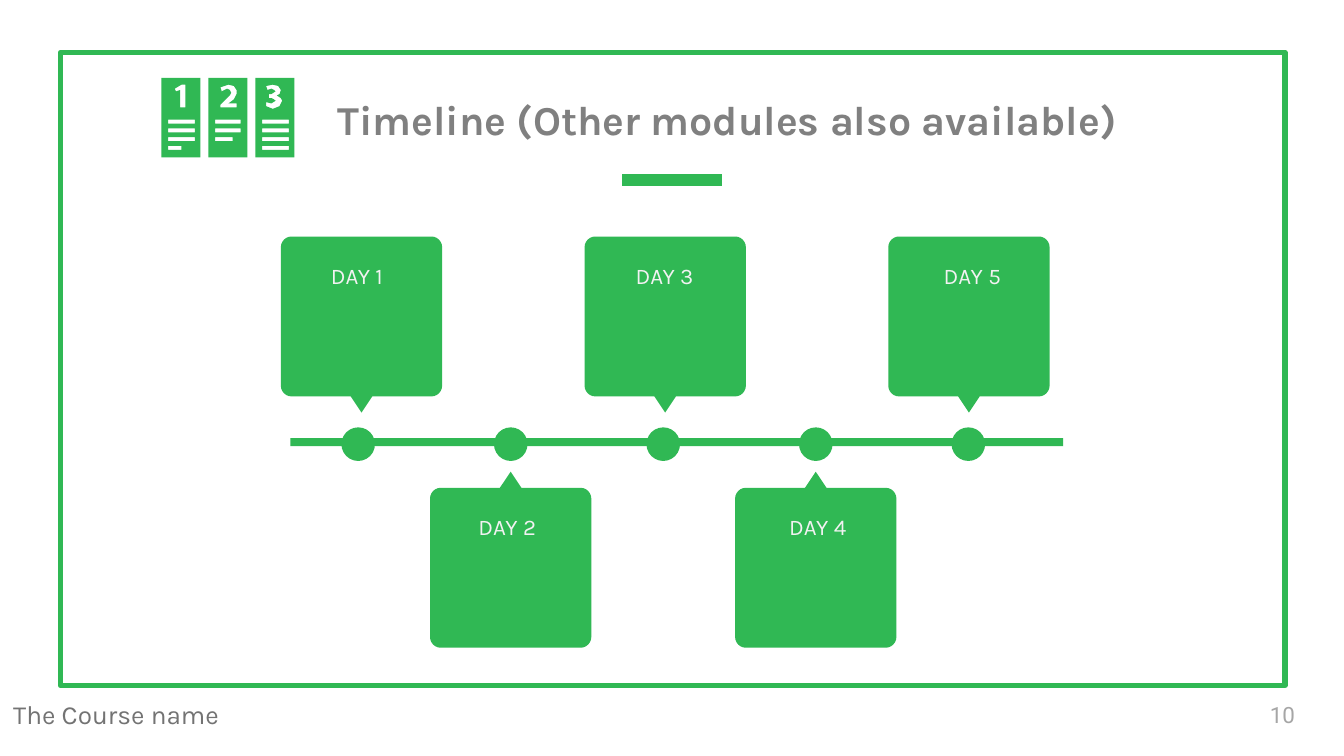
import math
from dataclasses import dataclass

from lxml import etree
from pptx import Presentation
from pptx.dml.color import RGBColor
from pptx.enum.shapes import MSO_CONNECTOR, MSO_SHAPE
from pptx.enum.text import MSO_ANCHOR, PP_ALIGN
from pptx.oxml.ns import qn
from pptx.util import Inches, Pt

RECTANGLE, OVAL = MSO_SHAPE.RECTANGLE, MSO_SHAPE.OVAL
STRAIGHT = MSO_CONNECTOR.STRAIGHT
TOP, MIDDLE, BOTTOM = MSO_ANCHOR.TOP, MSO_ANCHOR.MIDDLE, MSO_ANCHOR.BOTTOM
LEFT, CENTER = PP_ALIGN.LEFT, PP_ALIGN.CENTER

GREEN = "30B854"
Point = tuple[float, float]


@dataclass
class Day:
    label: str
    left: float
    above: bool
    text_left: float


@dataclass
class Card:
    left: float
    line_widths: list[float]
    digit: list[Point]


DAYS = [
    Day("DAY 1", 2.09, True, 2.19),
    Day("DAY 2", 3.2, False, 3.31),
    Day("DAY 3", 4.35, True, 4.48),
    Day("DAY 4", 5.47, False, 5.62),
    Day("DAY 5", 6.61, True, 6.77),
]

CARDS = [
    Card(1.2, [0.2, 0.2, 0.2, 0.1], [
        (1.35, 0.63), (1.38, 0.63), (1.38, 0.8), (1.34, 0.8),
        (1.34, 0.67), (1.31, 0.68), (1.3, 0.66)]),
    Card(1.55, [0.19, 0.19, 0.13], [
        (1.64, 0.78), (1.66, 0.76), (1.71, 0.71), (1.72, 0.69), (1.71, 0.67),
        (1.69, 0.66), (1.67, 0.67), (1.65, 0.68), (1.64, 0.65), (1.67, 0.64),
        (1.7, 0.63), (1.74, 0.64), (1.76, 0.67), (1.76, 0.7), (1.74, 0.74),
        (1.7, 0.77), (1.76, 0.77), (1.76, 0.8), (1.64, 0.8)]),
    Card(1.9, [0.2, 0.2, 0.2, 0.2], [
        (2.02, 0.73), (2, 0.73), (2, 0.7), (2.02, 0.7), (2.05, 0.68),
        (2.04, 0.67), (2.02, 0.66), (1.99, 0.67), (1.98, 0.64), (2.03, 0.63),
        (2.07, 0.64), (2.09, 0.67), (2.08, 0.7), (2.06, 0.71), (2.09, 0.73),
        (2.1, 0.75), (2.08, 0.79), (2.03, 0.81), (1.98, 0.79), (1.98, 0.76),
        (2.02, 0.77), (2.05, 0.75), (2.04, 0.74)]),
]


def color(value: str) -> RGBColor:
    return RGBColor.from_string(value)


def paint(shape) -> None:
    shape.shadow.inherit = False
    shape.fill.solid()
    shape.fill.fore_color.rgb = color(GREEN)
    shape.line.fill.background()


def add_outline(page, contours: list[list[Point]]) -> None:
    corners = [[(Inches(x), Inches(y)) for x, y in contour] for contour in contours]
    builder = page.shapes.build_freeform(*corners[0][0], scale=1.0)
    builder.add_line_segments(corners[0][1:], close=True)
    for contour in corners[1:]:
        builder.move_to(*contour[0])
        builder.add_line_segments(contour[1:], close=True)
    paint(builder.convert_to_shape())


def add_solid(page, kind, left: float, top: float, width: float, height: float) -> None:
    paint(page.shapes.add_shape(
        kind, Inches(left), Inches(top), Inches(width), Inches(height)))


def add_text(page, text: str, left: float, top: float, width: float, height: float, *,
             size: float, fill: str, font: str = "Karla", bold: bool = False,
             align=CENTER, anchor=TOP, inset: float = 0.1) -> None:
    box = page.shapes.add_textbox(
        Inches(left), Inches(top), Inches(width), Inches(height))
    frame = box.text_frame
    frame.word_wrap = True
    frame.vertical_anchor = anchor
    frame.margin_left = frame.margin_right = Inches(0.1)
    frame.margin_top = frame.margin_bottom = Inches(inset)
    para = frame.paragraphs[0]
    para.alignment = align
    span = para.add_run()
    span.text = text
    span.font.name = font
    span.font.size = Pt(size)
    span.font.bold = bold
    span.font.color.rgb = color(fill)


def box_points(left: float, top: float, width: float, height: float) -> list[Point]:
    right, bottom = left + width, top + height
    return [(left, top), (right, top), (right, bottom), (left, bottom)]


def callout_points(left: float, above: bool) -> list[Point]:
    width, height, radius, steps = 1.2, 1.19, 0.08, 6
    pointer_width, pointer_height = 0.16, 0.12
    middle = left + width / 2
    points = [(middle - pointer_width / 2, height), (middle, height + pointer_height),
              (middle + pointer_width / 2, height)]
    centers = [(left + width - radius, height - radius), (left + width - radius, radius),
               (left + radius, radius), (left + radius, height - radius)]
    for corner, (x, y) in enumerate(centers):
        for step in range(steps + 1):
            angle = math.pi / 2 * (corner - 1 + step / steps)
            points.append((x + radius * math.cos(angle), y - radius * math.sin(angle)))
    return [(x, 1.76 + y if above else 4.82 - y) for x, y in points]


def add_day(page, day: Day) -> None:
    add_outline(page, [callout_points(day.left, day.above)])
    add_text(page, day.label, day.text_left, 1.85 if day.above else 3.72, 0.93, 0.37,
             size=12, fill="F2F2F2")


def add_card(page, card: Card) -> None:
    lines = [box_points(card.left + 0.05, 0.89 + 0.065 * row, width, 0.03)
             for row, width in enumerate(card.line_widths)]
    add_outline(page, [box_points(card.left, 0.58, 0.29, 0.59), *lines, card.digit])


def add_frame(page) -> None:
    border = page.shapes.add_shape(
        RECTANGLE, Inches(0.45), Inches(0.39), Inches(9.11), Inches(4.71))
    border.shadow.inherit = False
    border.fill.background()
    border.line.color.rgb = color(GREEN)
    border.line.width = Pt(3)
    etree.SubElement(border.element.spPr.get_or_add_ln(), qn("a:round"))


def add_title_rule(page) -> None:
    rule = page.shapes.add_connector(
        STRAIGHT, Inches(4.63), Inches(1.34), Inches(5.37), Inches(1.34))
    rule.line.color.rgb = color(GREEN)
    rule.line.width = Pt(6)
    etree.SubElement(rule.element.spPr, qn("a:effectLst"))


def main() -> None:
    deck = Presentation()
    deck.slide_width, deck.slide_height = Inches(10), Inches(10 * 9 / 16)
    page = deck.slides.add_slide(deck.slide_layouts[6])

    add_text(page, "The Course name", 0, 5.15, 2.55, 0.34,
             size=14, fill="737373", align=LEFT, inset=0.05)
    add_frame(page)
    add_title_rule(page)
    add_text(page, "Timeline (Other modules also available)", 0.41, 0.17, 10, 1,
             size=22, fill="808080", bold=True, anchor=BOTTOM)

    add_solid(page, RECTANGLE, 2.16, 3.26, 5.75, 0.06)
    for index, day in enumerate(DAYS):
        add_solid(page, OVAL, 2.54 + 1.135 * index, 3.18, 0.25, 0.25)
        add_day(page, day)
    for card in CARDS:
        add_card(page, card)

    add_text(page, "10", 9.35, 5.1, 0.6, 0.43,
             size=12, fill="A6A6A6", font="Roboto", align=LEFT, anchor=MIDDLE)
    deck.save("out.pptx")


if __name__ == "__main__":
    main()
